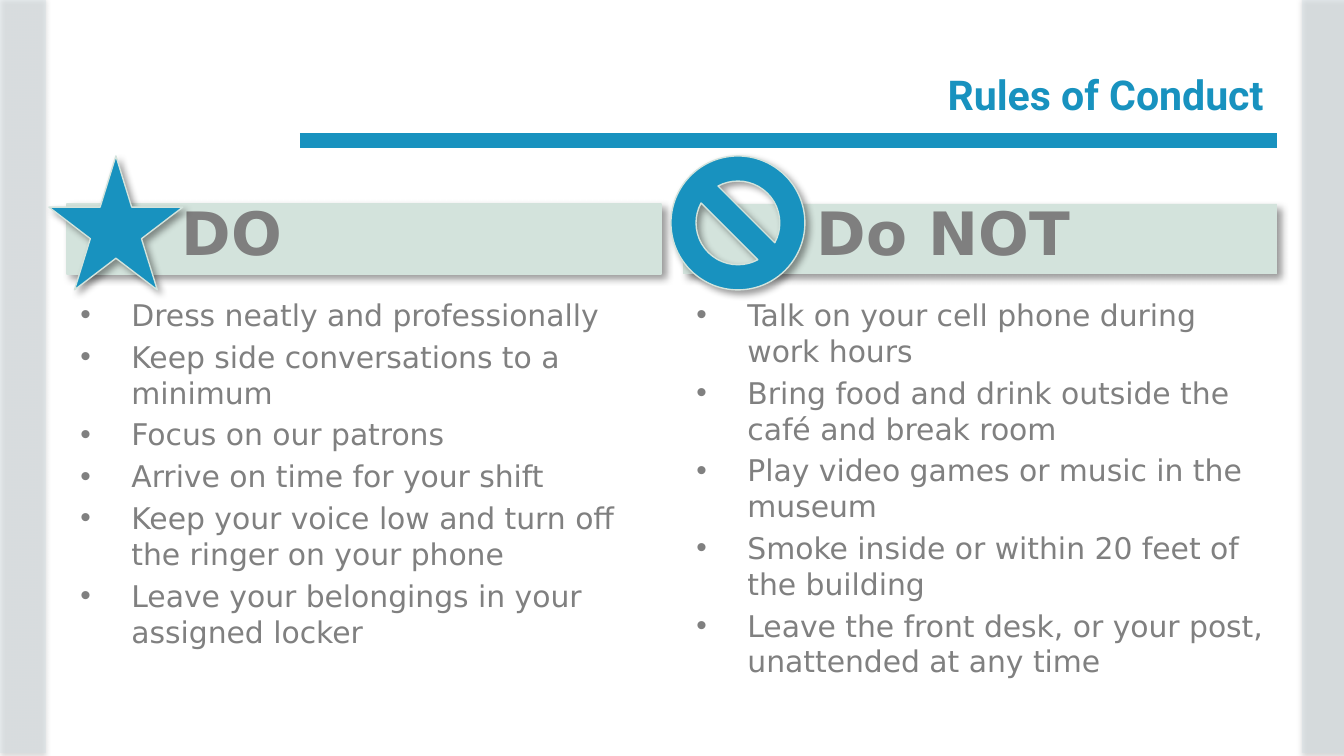
from lxml.etree import SubElement
from pptx import Presentation
from pptx.dml.color import RGBColor
from pptx.enum.shapes import MSO_CONNECTOR, MSO_SHAPE
from pptx.enum.text import MSO_ANCHOR, MSO_AUTO_SIZE, PP_ALIGN
from pptx.oxml.ns import qn
from pptx.util import Pt

# Content
TITLE = "Rules of Conduct"
COLUMNS = [
    {"left": 67, "head": "DO", "inset": 115, "outline": True,
     "icon": MSO_SHAPE.STAR_5_POINT, "icon_left": 49,
     "rules": ["Dress neatly and professionally",
               "Keep side conversations to a minimum",
               "Focus on our patrons",
               "Arrive on time for your shift",
               "Keep your voice low and turn off the ringer on your phone",
               "Leave your belongings in your assigned locker"]},
    {"left": 683, "head": "Do NOT", "inset": 134, "outline": False,
     "icon": MSO_SHAPE.NO_SYMBOL, "icon_left": 671,
     "rules": ["Talk on your cell phone during work hours",
               "Bring food and drink outside the café and break room",
               "Play video games or music in the museum",
               "Smoke inside or within 20 feet of the building",
               "Leave the front desk, or your post, unattended at any time"]},
]
SIDE_BARS = [(0, 46, 40), (1302, 46, 45)]  # left, width, opacity %

# Style
BLUE = RGBColor(0x18, 0x92, 0xBF)
GREEN = RGBColor(0xD3, 0xE3, 0xDC)
SIDE = RGBColor(0xD3, 0xDE, 0xE3)
HEAD_GRAY = RGBColor(0x7F, 0x7F, 0x7F)
TEXT_GRAY = RGBColor(0x80, 0x80, 0x80)
SOFT = (35, 3.1, 1.8, 90)  # opacity %, blur pt, distance pt, angle
DEEP = (40, 4, 3, 45)
COLUMN_W, HEAD_TOP, HEAD_H, LIST_TOP, LIST_H = 594, 204, 70, 290, 384
ICON_TOP, ICON_SIZE, INDENT = 156, 134, 51


def px(n):
    return round(n * 914400 / 134.4)


def place(shape, left, top, width, height):
    shape.left, shape.top = px(left), px(top)
    shape.width, shape.height = px(width), px(height)


def paint(shape, fill, line=None):
    shape.fill.solid()
    shape.fill.fore_color.rgb = fill
    if line is None:
        shape.line.fill.background()
    else:
        shape.line.color.rgb = line
        shape.line.width = Pt(0.75)


def add_shadow(shape, opacity, blur, dist, angle):
    shape.shadow.inherit = False
    effects = shape.element.spPr.find(qn("a:effectLst"))
    shadow = SubElement(effects, qn("a:outerShdw"), blurRad=str(Pt(blur)),
                        dist=str(Pt(dist)), dir=str(angle * 60000), rotWithShape="0")
    color = SubElement(shadow, qn("a:srgbClr"), val="000000")
    SubElement(color, qn("a:alpha"), val=str(opacity * 1000))


def style(p, font, size, color, bold=False):
    for r in p.runs:
        r.font.name, r.font.size, r.font.bold = font, Pt(size), bold
        r.font.color.rgb = color


def add_bullet(p):
    pPr = p._p.get_or_add_pPr()
    pPr.set("marL", str(px(INDENT)))
    pPr.set("indent", str(-px(INDENT)))
    SubElement(pPr, qn("a:buChar"), char="•")


prs = Presentation()
prs.slide_width, prs.slide_height = px(1344), px(756)
s = prs.slides.add_slide(prs.slide_layouts[4])
title, *bodies = s.placeholders

# Side bars
for left, width, opacity in SIDE_BARS:
    bar = s.shapes.add_shape(MSO_SHAPE.RECTANGLE, px(left), px(-3), px(width), px(756))
    paint(bar, SIDE)
    color = bar.element.spPr.find(qn("a:solidFill")).find(qn("a:srgbClr"))
    SubElement(color, qn("a:alpha"), val=str(opacity * 1000))
    add_shadow(bar, *SOFT)

# Title and rule
rule = s.shapes.add_connector(MSO_CONNECTOR.STRAIGHT, px(300), px(141), px(1277), px(141))
rule.line.color.rgb = BLUE
rule.line.width = Pt(8)
SubElement(rule.element.spPr, qn("a:effectLst"))

place(title, 67, 31, 1210, 126)
tf = title.text_frame
tf.text = TITLE
tf.auto_size = MSO_AUTO_SIZE.NONE
tf.vertical_anchor = MSO_ANCHOR.MIDDLE
tf.paragraphs[0].alignment = PP_ALIGN.RIGHT
style(tf.paragraphs[0], "Roboto", 22, BLUE, True)

# Columns: heading band and bulleted rules
for col, head, body in zip(COLUMNS, bodies[::2], bodies[1::2]):
    place(head, col["left"], HEAD_TOP, COLUMN_W, HEAD_H)
    paint(head, GREEN, GREEN if col["outline"] else None)
    add_shadow(head, *DEEP)
    tf = head.text_frame
    tf.text = col["head"]
    tf.auto_size = MSO_AUTO_SIZE.NONE
    tf.vertical_anchor = MSO_ANCHOR.BOTTOM
    tf.margin_left = px(col["inset"])
    style(tf.paragraphs[0], "DejaVu Sans", 32, HEAD_GRAY, True)

    place(body, col["left"], LIST_TOP, COLUMN_W, LIST_H)
    tf = body.text_frame
    tf.text = "\n".join(col["rules"])
    tf.auto_size = MSO_AUTO_SIZE.NONE
    for p in tf.paragraphs:
        add_bullet(p)
        style(p, "DejaVu Sans", 16, TEXT_GRAY)

# Icons over the headings
for col in reversed(COLUMNS):
    icon = s.shapes.add_shape(col["icon"], px(col["icon_left"]), px(ICON_TOP),
                              px(ICON_SIZE), px(ICON_SIZE))
    paint(icon, BLUE, GREEN)
    add_shadow(icon, *DEEP)

prs.save("out.pptx")
